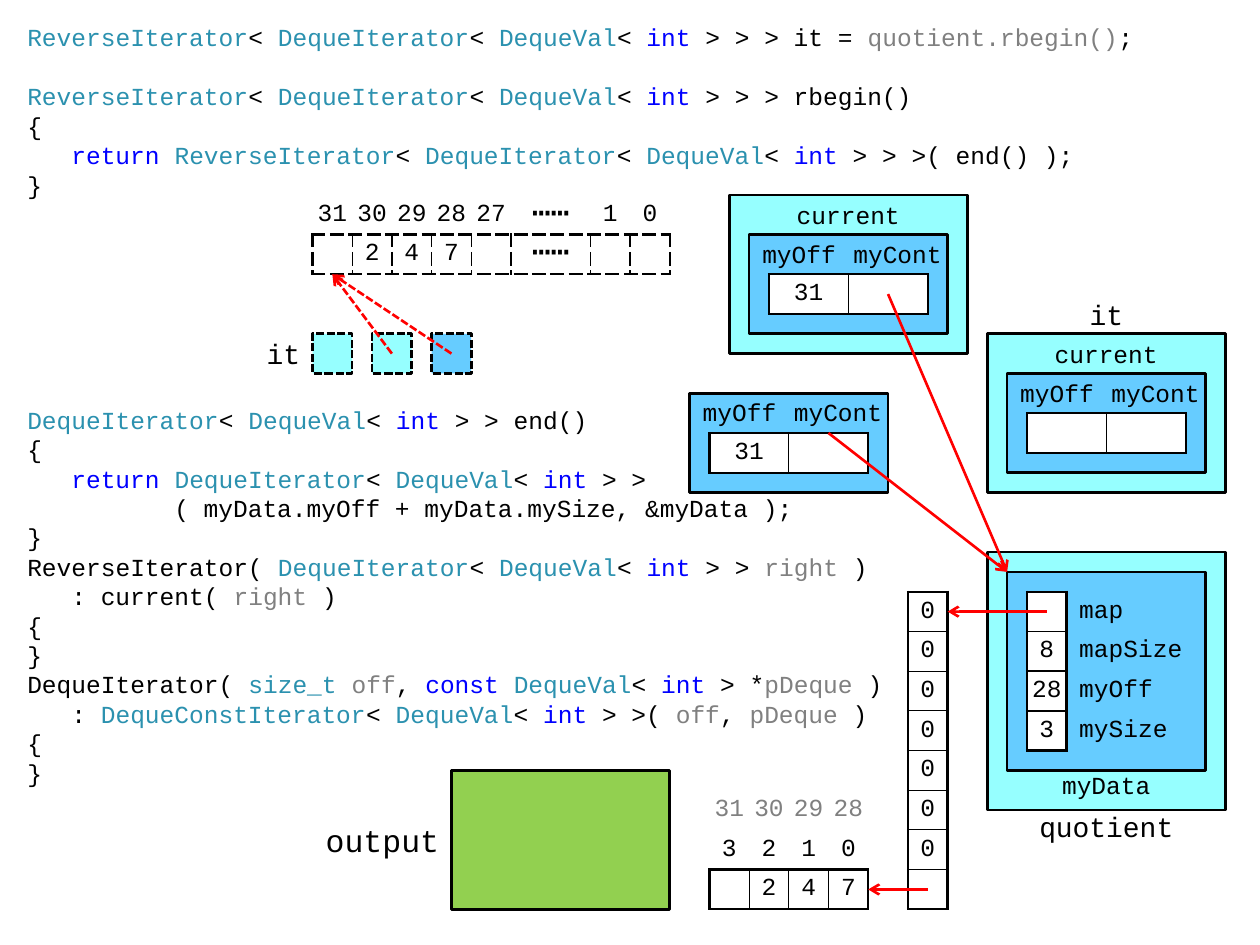
from itertools import groupby

from lxml import etree
from pptx import Presentation
from pptx.dml.color import RGBColor
from pptx.enum.dml import MSO_LINE
from pptx.enum.shapes import MSO_CONNECTOR, MSO_SHAPE
from pptx.enum.text import MSO_ANCHOR, PP_ALIGN
from pptx.oxml.ns import qn
from pptx.util import Pt

PROCESS, SQUARE = MSO_SHAPE.FLOWCHART_PROCESS, MSO_SHAPE.RECTANGLE
STRAIGHT = MSO_CONNECTOR.STRAIGHT
SYS_DASH = MSO_LINE.SQUARE_DOT
TOP, MIDDLE, BOTTOM = MSO_ANCHOR.TOP, MSO_ANCHOR.MIDDLE, MSO_ANCHOR.BOTTOM
LEFT, CENTER, RIGHT = PP_ALIGN.LEFT, PP_ALIGN.CENTER, PP_ALIGN.RIGHT

BLACK = RGBColor(0x00, 0x00, 0x00)
WHITE = RGBColor(0xFF, 0xFF, 0xFF)
GRAY = RGBColor(0x80, 0x80, 0x80)
RED = RGBColor(0xFF, 0x00, 0x00)
BLUE = RGBColor(0x00, 0x00, 0xFF)
TEAL = RGBColor(0x2B, 0x91, 0xAF)
AQUA = RGBColor(0x96, 0xFF, 0xFF)
SKY = RGBColor(0x66, 0xCC, 0xFF)
GREEN = RGBColor(0x92, 0xD0, 0x50)

GRID, ORIGIN_X, ORIGIN_Y = 11.34, 8.5, 9.3
LINE_PITCH, CHAR_WIDTH = 16.8, 8.4
NO_GRID_STYLE = "{2D5ABB26-0587-4C30-8999-92F81FD0307C}"
DOTS = "⋯⋯"

WORD_COLORS = {
    **dict.fromkeys(["ReverseIterator", "DequeIterator", "DequeVal",
                     "DequeConstIterator", "size_t"], TEAL),
    **dict.fromkeys(["int", "return", "const"], BLUE),
    **dict.fromkeys(["quotient.rbegin()", "right", "off", "pDeque"], GRAY),
}

# Each entry: blank lines above, indent in characters, code
CODE = [
    (0, 0, "ReverseIterator< DequeIterator< DequeVal< int > > > it = quotient.rbegin();"),
    (1, 0, "ReverseIterator< DequeIterator< DequeVal< int > > > rbegin()"),
    (0, 0, "{"),
    (0, 3, "return ReverseIterator< DequeIterator< DequeVal< int > > >( end() );"),
    (0, 0, "}"),
    (7, 0, "DequeIterator< DequeVal< int > > end()"),
    (0, 0, "{"),
    (0, 3, "return DequeIterator< DequeVal< int > >"),
    (0, 10, "( myData.myOff + myData.mySize, &myData );"),
    (0, 0, "}"),
    (0, 0, "ReverseIterator( DequeIterator< DequeVal< int > > right )"),
    (0, 3, ": current( right )"),
    (0, 0, "{"),
    (0, 0, "}"),
    (0, 0, "DequeIterator( size_t off, const DequeVal< int > *pDeque )"),
    (0, 3, ": DequeConstIterator< DequeVal< int > >( off, pDeque )"),
    (0, 0, "{"),
    (0, 0, "}"),
]


class Diagram:
    """Draws code, boxes, tables and arrows on a grid in one style."""

    def __init__(self, slide, font="Courier New", size=14, weight=1.5):
        self.slide, self.font, self.size, self.weight = slide, font, size, weight

    def place(self, col, row):
        return Pt(ORIGIN_X + col * GRID), Pt(ORIGIN_Y + row * GRID)

    def area(self, col, row, width, height):
        return (*self.place(col, row), Pt(width * GRID), Pt(height * GRID))

    def style(self, span, color=BLACK, size=None):
        span.font.name = self.font
        span.font.size = Pt(size or self.size)
        span.font.color.rgb = color

    def code(self, lines, *area):
        frame = self.slide.shapes.add_textbox(*self.area(*area)).text_frame
        frame.word_wrap = True
        frame.text = "\n".join(text for _, _, text in lines)
        for para, (blanks, indent, text) in zip(frame.paragraphs, lines):
            para.line_spacing = Pt(LINE_PITCH)
            para.space_before = Pt(blanks * LINE_PITCH)
            para._p.get_or_add_pPr().set("marL", str(Pt(indent * CHAR_WIDTH)))
            para.text = ""
            words = ("".join(part) for _, part in
                     groupby(text, lambda char: char.isalnum() or char in "_.()"))
            for color, part in groupby(words, lambda word: WORD_COLORS.get(word, BLACK)):
                span = para.add_run()
                span.text = "".join(part)
                self.style(span, color)

    def label(self, text, *area, align=CENTER, anchor=MIDDLE, size=None):
        frame = self.slide.shapes.add_textbox(*self.area(*area)).text_frame
        frame.word_wrap = True
        frame.vertical_anchor = anchor
        frame.margin_left = Pt(2.88)
        frame.margin_right = Pt(7.2 if align == RIGHT else 2.88)
        frame.margin_top = Pt(0)
        frame.margin_bottom = Pt(3.6 if anchor == BOTTOM else 0)
        frame.text = text
        para = frame.paragraphs[0]
        para.alignment = align
        self.style(para.runs[0], size=size)

    def box(self, fill, *area, kind=PROCESS, dash=None):
        box = self.slide.shapes.add_shape(kind, *self.area(*area))
        box.shadow.inherit = False
        box.fill.solid()
        box.fill.fore_color.rgb = fill
        box.line.color.rgb = BLACK
        box.line.width = Pt(self.weight)
        box.line.dash_style = dash

    def arrow(self, start, end, dash=None):
        arrow = self.slide.shapes.add_connector(
            STRAIGHT, *self.place(*start), *self.place(*end))
        arrow.line.color.rgb = RED
        arrow.line.width = Pt(self.weight)
        arrow.line.dash_style = dash
        etree.SubElement(arrow.line._get_or_add_ln(), qn("a:tailEnd"), type="arrow")
        etree.SubElement(arrow._element.spPr, qn("a:effectLst"))

    def border(self, cell, side, weight, dashed):
        line = etree.SubElement(cell._tc.get_or_add_tcPr(), qn("a:ln" + side),
                                w=str(Pt(weight)))
        paint = etree.SubElement(line, qn("a:solidFill"))
        etree.SubElement(paint, qn("a:srgbClr"), val=str(BLACK))
        etree.SubElement(line, qn("a:prstDash"), val="sysDash" if dashed else "solid")

    def table(self, col, row, widths, rows, framed_row=0, framed_cols=None,
              head=BLACK, inner=0.75, dashed=False):
        last_row, last_col = len(rows) - 1, (framed_cols or len(widths)) - 1
        table = self.slide.shapes.add_table(
            len(rows), len(widths),
            *self.area(col, row, sum(widths), 2 * len(rows))).table
        table.first_row = table.horz_banding = False
        table._tbl.tblPr.find(qn("a:tableStyleId")).text = NO_GRID_STYLE
        for column, width in zip(table.columns, widths):
            column.width = Pt(width * GRID)
        for y, texts in enumerate(rows):
            table.rows[y].height = Pt(2 * GRID)
            for x, text in enumerate(texts):
                cell = table.cell(y, x)
                is_label = x > last_col
                cell.vertical_anchor = MIDDLE
                cell.margin_left = Pt(7.2 if is_label else 0)
                cell.margin_right = cell.margin_top = cell.margin_bottom = Pt(0)
                cell.text = text
                para = cell.text_frame.paragraphs[0]
                para.alignment = LEFT if is_label else CENTER
                for span in para.runs:
                    self.style(span, BLACK if y else head, 18 if text == DOTS else None)
                if is_label or y < framed_row:
                    cell.fill.background()
                    continue
                edges = {"L": x == 0, "R": x == last_col,
                         "T": y == framed_row, "B": y == last_row}
                for side, outer in edges.items():
                    self.border(cell, side, self.weight if outer else inner, dashed)
                cell.fill.solid()
                cell.fill.fore_color.rgb = WHITE

    def iterator(self, col, row, offset):
        self.box(SKY, col, row, 10, 5)
        self.table(col + 1, row + 2, [4, 4], [[offset, ""]])
        self.label("myCont", col + 5, row, 5, 2, align=LEFT, anchor=BOTTOM)
        self.label("myOff", col, row, 5, 2, align=RIGHT, anchor=BOTTOM)

    def reverse_iterator(self, col, row, offset):
        self.box(AQUA, col, row, 12, 8)
        self.label("current", col + 3, row, 6, 2)
        self.iterator(col + 1, row + 2, offset)


def main():
    deck = Presentation()
    deck.slide_width, deck.slide_height = Pt(720), Pt(540)
    page = Diagram(deck.slides.add_slide(deck.slide_layouts[6]))

    page.code(CODE, 0, 0, 57, 41)
    page.reverse_iterator(36, 9, "31")
    page.reverse_iterator(49, 16, "")
    page.label("it", 53, 14, 4, 2, size=16)
    page.iterator(34, 19, "31")

    page.table(45, 29, [2], [["0"]] * 7 + [[""]])
    page.table(35, 39, [2] * 4,
               [["31", "30", "29", "28"], ["3", "2", "1", "0"], ["", "2", "4", "7"]],
               framed_row=2, head=GRAY)
    page.box(AQUA, 49, 27, 12, 13)
    page.box(SKY, 50, 28, 10, 10)
    page.label("quotient", 51, 40, 8, 2, anchor=BOTTOM, size=16)
    page.label("myData", 52, 38, 6, 2, anchor=TOP)
    page.table(51, 29, [2, 7],
               [["", "map"], ["8", "mapSize"], ["28", "myOff"], ["3", "mySize"]],
               framed_cols=1, inner=1)

    page.box(GREEN, 22, 38, 11, 7)
    page.label("output", 15, 40, 7, 3, align=RIGHT, size=18)

    page.table(15, 9, [2, 2, 2, 2, 2, 4, 2, 2],
               [["31", "30", "29", "28", "27", DOTS, "1", "0"],
                ["", "2", "4", "7", "", DOTS, "", ""]],
               framed_row=1, inner=1, dashed=True)
    for col, fill in [(15, AQUA), (18, AQUA), (21, SKY)]:
        page.box(fill, col, 16, 2, 2, kind=SQUARE, dash=SYS_DASH)
    page.label("it", 12, 16, 3, 2, align=RIGHT, size=16)

    for start, end in [((46, 44), (43, 44)), ((52, 30), (47, 30)),
                       ((44, 14), (50, 28)), ((41, 21), (50, 28))]:
        page.arrow(start, end)
    for col in (19, 22):
        page.arrow((col, 17), (16, 13), dash=SYS_DASH)

    deck.save("out.pptx")


if __name__ == "__main__":
    main()
